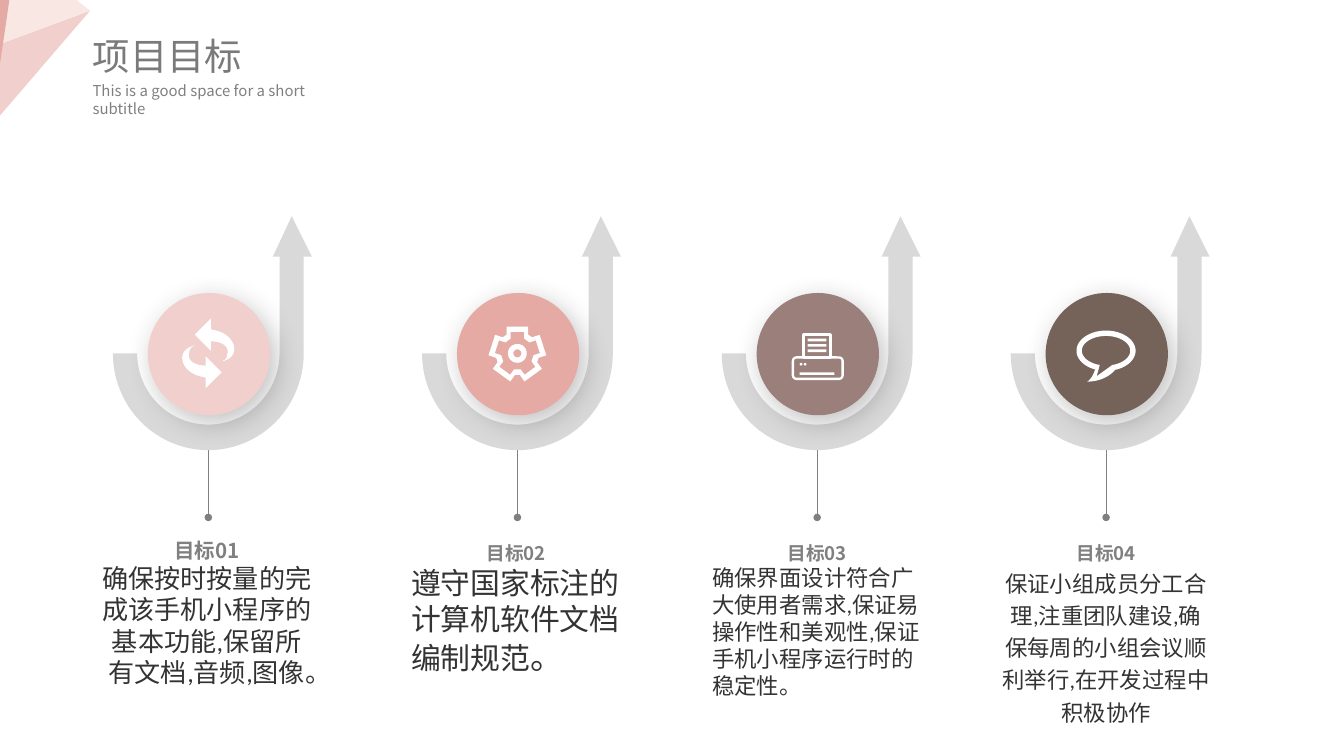
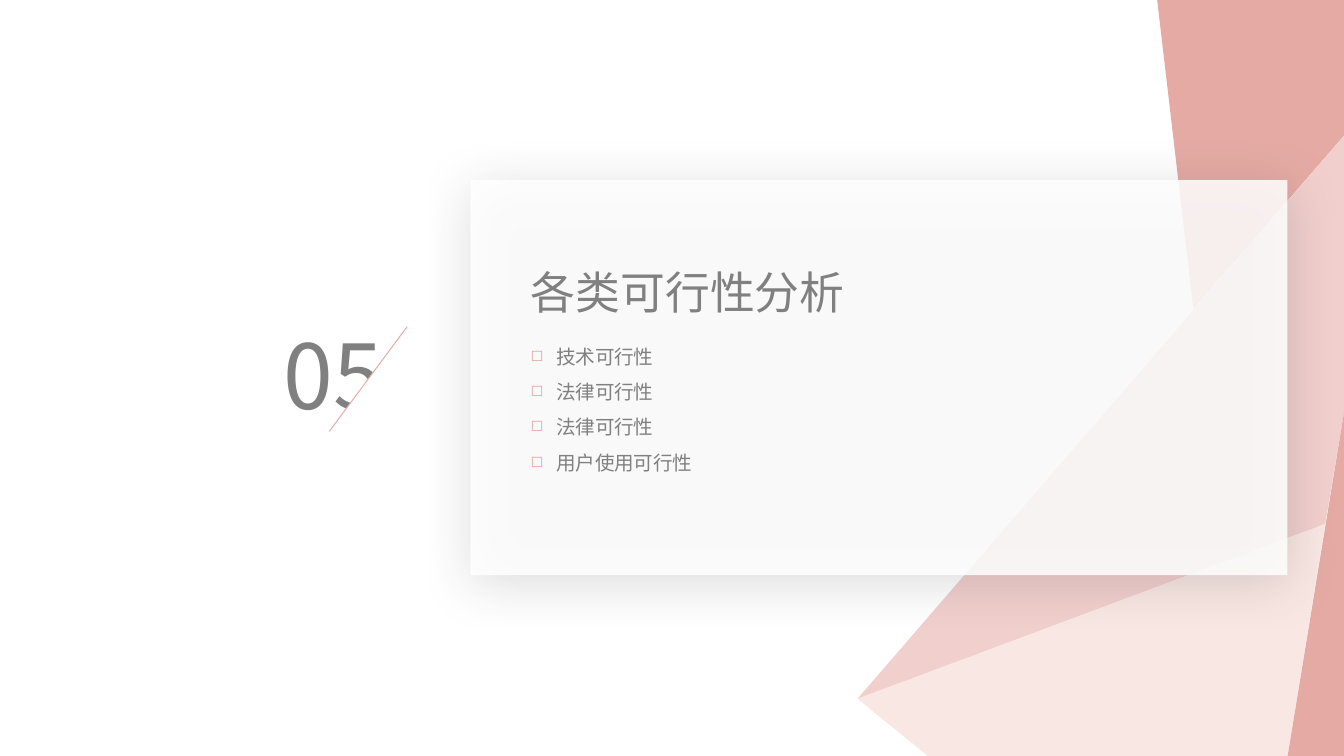
"""Build the project goals slide and the feasibility section slide."""
from dataclasses import dataclass
from math import cos, radians, sin

from pptx import Presentation
from pptx.dml.color import RGBColor
from pptx.enum.shapes import MSO_CONNECTOR, MSO_SHAPE as Preset
from pptx.enum.text import MSO_ANCHOR as Anchor, MSO_AUTO_SIZE as AutoSize, PP_ALIGN as Align
from pptx.oxml import parse_xml
from pptx.oxml.ns import nsdecls, qn
from pptx.util import Inches, Pt


@dataclass(frozen=True)
class Theme:
    white: str = "FFFFFF"
    grey: str = "808080"
    title_grey: str = "7A7A7A"
    dark: str = "333333"
    arrow: str = "D9D9D9"
    coral: str = "E5AAA4"
    pink: str = "F1CFCD"
    cream: str = "F9E7E3"
    mauve: str = "9B7F7B"
    brown: str = "756359"
    head_font: str = "Noto Sans CJK SC"
    body_font: str = "Calibri"
    number_size: float = 48
    section_size: float = 24
    title_size: float = 20
    list_size: float = 10.5
    subtitle_size: float = 8
    hairline: float = 0.5
    icon_line: float = 1.25


THEME = Theme()
PLAIN_INSET = (0.1, 0.05)


def arc(radius_x, radius_y, start, end, center_y=0.0, steps=48):
    return [(radius_x * cos(angle), center_y + radius_y * sin(angle))
            for angle in (radians(start + (end - start) * i / steps) for i in range(steps + 1))]


def bezier(*controls, steps=10):
    points = []
    for i in range(steps + 1):
        t = i / steps
        weights = ((1 - t) ** 3, 3 * t * (1 - t) ** 2, 3 * t * t * (1 - t), t ** 3)
        points.append(tuple(sum(w * c[axis] for w, c in zip(weights, controls)) for axis in (0, 1)))
    return points


def turn(points, degrees):
    c, s = cos(radians(degrees)), sin(radians(degrees))
    return [(x * c - y * s, x * s + y * c) for x, y in points]


class SlideMaker:
    """Hold the style and the current slide, with a method for each element."""

    def __init__(self, deck, theme):
        self.deck, self.theme, self.page = deck, theme, None

    def new_page(self):
        self.page = self.deck.slides.add_slide(self.deck.slide_layouts[5])

    def style(self, font, size, color, name, bold=False):
        font.size, font.bold, font.name = Pt(size), bold, name
        font.color.rgb = RGBColor.from_string(color)
        font._element.append(parse_xml(f'<a:ea {nsdecls("a")} typeface="{name}"/>'))

    def frame(self, box, place, inset, wrap):
        box.left, box.top, box.width, box.height = map(Inches, place)
        frame = box.text_frame
        frame.word_wrap, frame.auto_size = wrap, AutoSize.SHAPE_TO_FIT_TEXT
        frame.vertical_anchor = Anchor.TOP
        frame.margin_left = frame.margin_right = Inches(inset[0])
        frame.margin_top = frame.margin_bottom = Inches(inset[1])
        return frame

    def title(self, text, place, size, color):
        box = self.page.shapes.title
        box.element.getparent().append(box.element)
        para = self.frame(box, place, PLAIN_INSET, False).paragraphs[0]
        para.text, para.alignment = text, Align.LEFT
        self.style(para.font, size, color, self.theme.head_font)

    def text_box(self, place, inset=PLAIN_INSET):
        box = self.page.shapes.add_textbox(*map(Inches, place))
        return self.frame(box, place, inset, True)

    def label(self, text, place, size):
        para = self.text_box(place).paragraphs[0]
        para.text = text
        self.style(para.font, size, self.theme.grey, self.theme.head_font)

    def bullets(self, items, place):
        frame = self.text_box(place)
        for i, item in enumerate(items):
            para = frame.add_paragraph() if i else frame.paragraphs[0]
            para.text, para.line_spacing = item, 1.5
            props = para._p.get_or_add_pPr()
            props.set("marL", str(Inches(0.19)))
            props.set("indent", str(-Inches(0.19)))
            color = f'<a:srgbClr val="{self.theme.coral}"/>'
            props.append(parse_xml(f'<a:buClr {nsdecls("a")}>{color}</a:buClr>'))
            props.append(parse_xml(f'<a:buSzPct {nsdecls("a")} val="80000"/>'))
            props.append(parse_xml(f'<a:buChar {nsdecls("a")} char="◻"/>'))
            self.style(para.font, self.theme.list_size, self.theme.grey, self.theme.head_font)

    def paint(self, shape, fill=None, line=None, alpha=None, shadow=None):
        if fill:
            shape.fill.solid()
            shape.fill.fore_color.rgb = RGBColor.from_string(fill)
        else:
            shape.fill.background()
        props = shape.element.spPr
        if alpha:
            props.find(".//" + qn("a:srgbClr")).append(
                parse_xml(f'<a:alpha {nsdecls("a")} val="{alpha * 1000}"/>'))
        if line:
            shape.line.color.rgb = RGBColor.from_string(line)
            shape.line.width = Pt(self.theme.icon_line)
        else:
            shape.line.fill.background()
        shape.shadow.inherit = False
        if shadow:
            opacity, blur, distance, angle = shadow
            props.find(qn("a:effectLst")).append(parse_xml(
                f'<a:outerShdw {nsdecls("a")} blurRad="{Pt(blur)}" dist="{Pt(distance)}" '
                f'dir="{angle * 60000}" algn="ctr" rotWithShape="0"><a:srgbClr val="{self.theme.dark}">'
                f'<a:alpha val="{opacity * 1000}"/></a:srgbClr></a:outerShdw>'))

    def shape(self, preset, place, fill=None, rotation=0, **look):
        shape = self.page.shapes.add_shape(preset, *map(Inches, place))
        shape.rotation = rotation
        self.paint(shape, fill, **look)

    def outline(self, contours, fill, center=(0, 0)):
        placed = [[(Inches(center[0] + x), Inches(center[1] + y)) for x, y in contour]
                  for contour in contours]
        builder = self.page.shapes.build_freeform(*placed[0][0])
        for i, contour in enumerate(placed):
            if i:
                builder.move_to(*contour[0])
            builder.add_line_segments(contour[1:], close=True)
        self.paint(builder.convert_to_shape(), fill)

    def facets(self, pieces):
        for fill, points in pieces:
            self.outline([points], fill)

    def line(self, start, end, color, dot=False):
        line = self.page.shapes.add_connector(
            MSO_CONNECTOR.STRAIGHT, *map(Inches, (*start, *end)))
        line.line.color.rgb = RGBColor.from_string(color)
        line.line.width = Pt(self.theme.hairline)
        props = line.element.spPr
        if dot:
            props.find(qn("a:ln")).append(
                parse_xml(f'<a:tailEnd {nsdecls("a")} type="oval" w="sm" len="sm"/>'))
        props.append(parse_xml(f'<a:effectLst {nsdecls("a")}/>'))


def refresh_icon(maker, x, y):
    arrow = [(0.02, -0.18), (0.02, -0.26), (-0.1, -0.14), (0.02, -0.02)]
    arrow += bezier((0.02, -0.09), (0.12, -0.09), (0.16, -0.04), (0.14, 0.01))
    arrow += bezier((0.14, 0.01), (0.14, 0.04), (0.12, 0.05), (0.1, 0.06))
    arrow += bezier((0.1, 0.06), (0.14, 0.05), (0.18, 0.03), (0.19, -0.01))
    arrow += bezier((0.19, -0.01), (0.21, -0.07), (0.15, -0.15), (0.06, -0.17))
    for degrees in (0, 180):
        maker.outline([turn(arrow, degrees)], THEME.white, (x, y))


def gear_icon(maker, x, y):
    def cog(half, valley, tip):
        tooth = [(-half, -valley), (-half, -tip), (half, -tip), (half, -valley)]
        return [point for k in range(5) for point in turn(tooth, 72 * k)]

    contours = [cog(0.08, 0.14, 0.2), cog(0.05, 0.11, 0.16)]
    contours += [arc(radius, radius, 0, 360) for radius in (0.07, 0.03)]
    maker.outline(contours, THEME.white, (x, y))


def printer_icon(maker, x, y):
    white = THEME.white
    maker.shape(Preset.ROUNDED_RECTANGLE, (x - 0.18, y + 0.03, 0.37, 0.16), line=white)
    maker.shape(Preset.RECTANGLE, (x - 0.1, y - 0.14, 0.2, 0.17), line=white)
    for row in range(3):
        maker.shape(Preset.RECTANGLE, (x - 0.07, y - 0.11 + 0.04 * row, 0.14, 0.02), white)
    maker.shape(Preset.RECTANGLE, (x - 0.13, y + 0.14, 0.26, 0.02), white)
    for left in (-0.13, -0.1):
        maker.shape(Preset.OVAL, (x + left, y + 0.07, 0.02, 0.02), white)


def speech_icon(maker, x, y):
    outer = arc(0.22, 0.15, 110, 430, -0.02)
    outer += bezier((0.07, 0.12), (0.02, 0.18), (-0.06, 0.21), (-0.14, 0.21))
    outer += bezier((-0.14, 0.21), (-0.12, 0.2), (-0.09, 0.16), (-0.08, 0.11))
    inner = arc(0.18, 0.11, 105, 435, -0.02) + [(-0.07, 0.17)]
    maker.outline([outer, inner], THEME.white, (x, y))


@dataclass(frozen=True)
class Goal:
    center: float
    left: float
    color: str
    icon: object
    body: str
    size: float
    height: float
    head_size: float = 10
    head_spacing: float = 1.2
    align: Align = Align.LEFT
    spacing: float = 1.0
    joined: bool = False
    ending: str = ""
    ending_size: float = 18


GOALS = (
    Goal(1.55, 0.76, THEME.pink, refresh_icon,
         "确保按时按量的完成该手机小程序的基本功能,保留所有文档,音频,图像。",
         14, 1.13, head_size=11, head_spacing=1.0, joined=True),
    Goal(3.85, 3.06, THEME.coral, gear_icon, "遵守国家标注的计算机软件文档编制规范",
         16, 1.04, ending="。"),
    Goal(6.08, 5.3, THEME.mauve, printer_icon,
         "确保界面设计符合广大使用者需求,保证易操作性和美观性,保证手机小程序运行时的稳定性。",
         12, 1.21),
    Goal(8.23, 7.45, THEME.brown, speech_icon,
         "保证小组成员分工合理,注重团队建设,确保每周的小组会议顺利举行,在开发过程中积极协作",
         12, 1.41, align=Align.CENTER, spacing=1.2),
)
HOOK_ARROW = ([(0.62, -1.02), (0.48, -0.72), (0.53, -0.72)] + arc(0.53, 0.53, 0, 180)
              + arc(0.71, 0.72, 180, 0) + [(0.71, -0.72), (0.77, -0.72)])
ICON_Y = 2.63


def add_goal(maker, number, goal):
    x = goal.center
    maker.line((x, 3.33), (x, 3.85), THEME.grey, dot=True)
    maker.outline([HOOK_ARROW], THEME.arrow, (x, ICON_Y))
    maker.shape(Preset.OVAL, (x - 0.45, 2.18, 0.91, 0.91), goal.color, shadow=(30, 15, 5, 55))
    goal.icon(maker, x, ICON_Y)
    frame = maker.text_box((goal.left, 4, 1.56, goal.height), inset=(0, 0))
    head = frame.paragraphs[0]
    head.text, head.alignment, head.line_spacing = f"目标{number:02}", Align.CENTER, goal.head_spacing
    maker.style(head.font, goal.head_size, THEME.grey, THEME.head_font, bold=True)
    if goal.joined:
        head.add_line_break()
        body = head.add_run()
    else:
        body = frame.add_paragraph()
        body.alignment, body.line_spacing = goal.align, goal.spacing
    body.text = goal.body
    maker.style(body.font, goal.size, THEME.dark, THEME.body_font)
    if goal.ending:
        ending = body.add_run()
        ending.text, ending.font.size = goal.ending, Pt(goal.ending_size)


def goals_page(maker):
    maker.new_page()
    maker.facets((
        (THEME.pink, [(0.67, 0.08), (0.02, 0.32), (0, 0.48), (0, 0.86)]),
        (THEME.cream, [(0.67, 0.08), (0.57, 0), (0.07, 0), (0.02, 0.32)]),
        (THEME.coral, [(0.07, 0), (0, 0), (0, 0.48)]),
    ))
    for number, goal in enumerate(GOALS, 1):
        add_goal(maker, number, goal)
    maker.title("项目目标", (0.59, 0.2, 1.32, 0.44), THEME.title_size, THEME.title_grey)
    maker.label("This is a good space for a short subtitle",
                (0.59, 0.56, 2.19, 0.24), THEME.subtitle_size)


def section_page(maker):
    maker.new_page()
    maker.facets((
        (THEME.coral, [(8.88, 2.3), (8.61, 0), (10, 0), (10, 1.01)]),
        (THEME.pink, [(6.38, 5.2), (9.86, 3.9), (10, 3.07), (10, 1.01)]),
        (THEME.cream, [(6.38, 5.2), (6.91, 5.63), (9.58, 5.63), (9.86, 3.9)]),
        (THEME.coral, [(9.58, 5.63), (10, 5.63), (10, 3.07)]),
    ))
    maker.shape(Preset.RECTANGLE, (3.5, 1.34, 6.08, 2.94), THEME.white,
                alpha=85, shadow=(20, 29, 5, 77))
    maker.label("05", (2.01, 2.33, 0.98, 0.91), THEME.number_size)
    maker.title("各类可行性分析", (3.85, 1.92, 2.64, 0.5), THEME.section_size, THEME.grey)
    maker.shape(Preset.RIGHT_TRIANGLE, (2.35, 2.53, 0.78, 0.58), THEME.white, rotation=270)
    maker.line((3.03, 2.43), (2.45, 3.21), THEME.coral)
    maker.bullets(("技术可行性", "法律可行性", "法律可行性", "用户使用可行性"),
                  (3.85, 2.43, 2.5, 1.16))


def main():
    deck = Presentation()
    deck.slide_width = Inches(10)
    deck.slide_height = deck.slide_width * 9 // 16
    maker = SlideMaker(deck, THEME)
    goals_page(maker)
    section_page(maker)
    deck.save("out.pptx")


if __name__ == "__main__":
    main()
